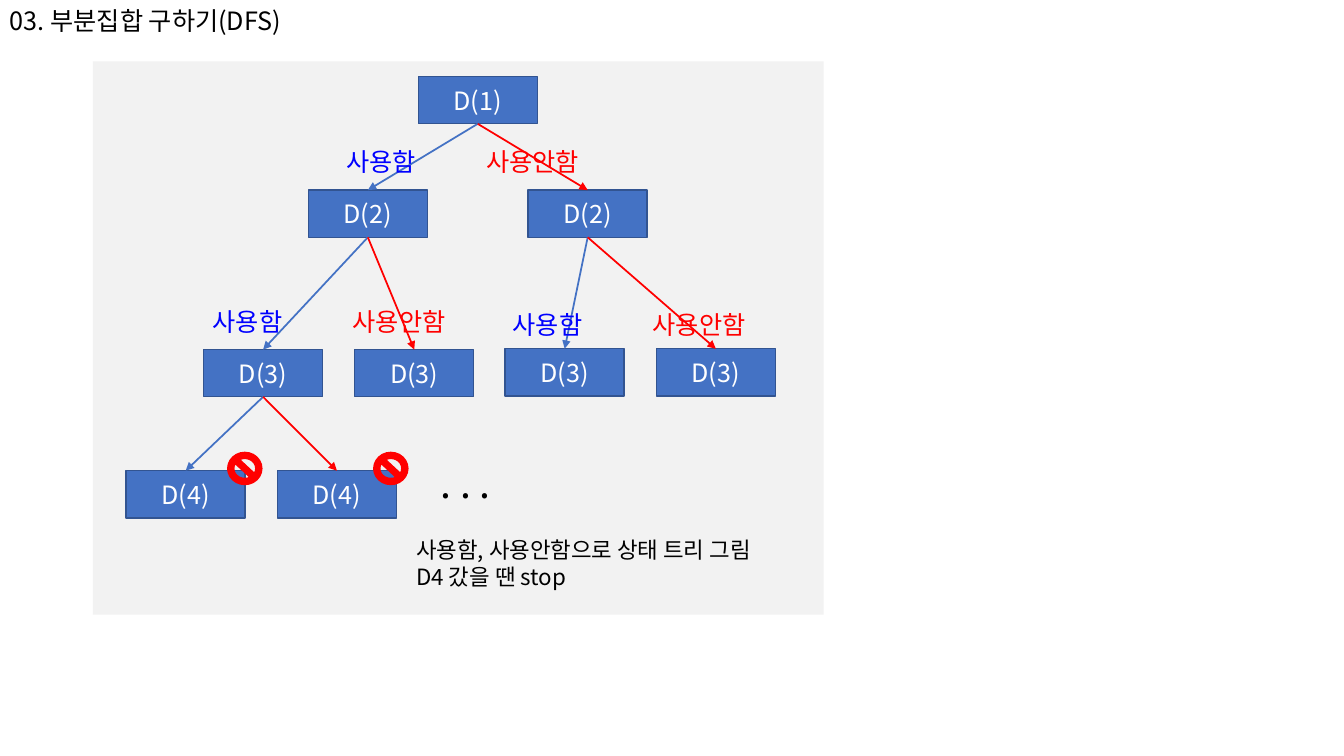
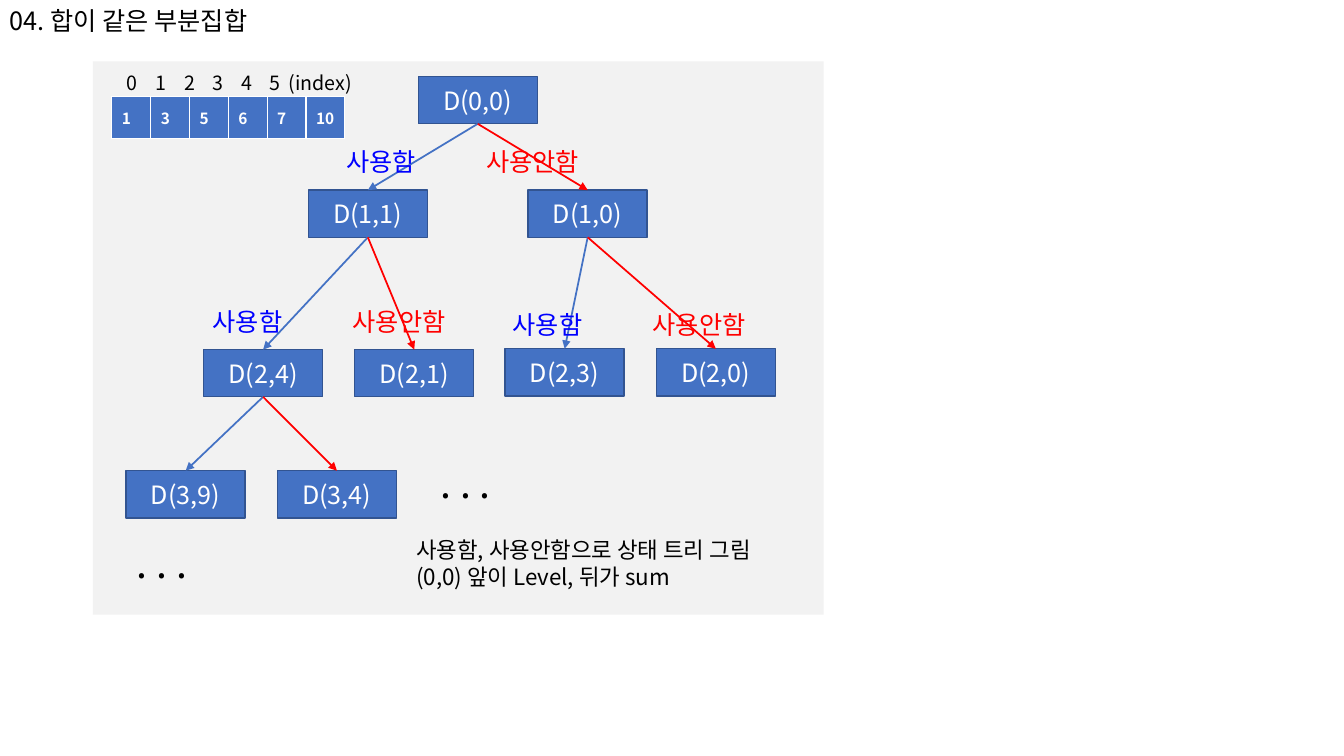
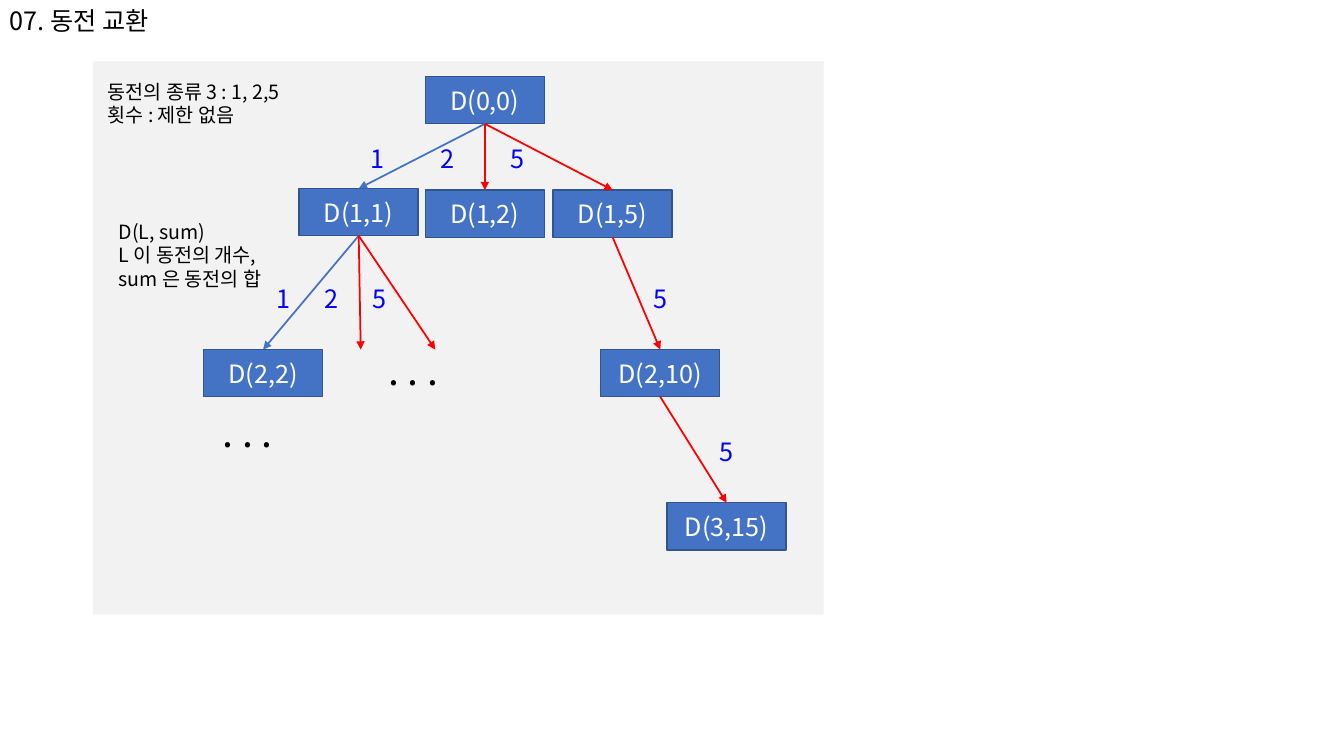
from dataclasses import dataclass

from lxml.etree import SubElement
from pptx import Presentation
from pptx.dml.color import RGBColor
from pptx.enum.shapes import MSO_CONNECTOR as Connector, MSO_SHAPE as Preset
from pptx.enum.text import MSO_ANCHOR as Anchor, PP_ALIGN as Align
from pptx.oxml.ns import qn
from pptx.util import Cm, Pt


@dataclass(frozen=True)
class Theme:
    """Colours, font and type sizes shared by all slides."""
    font: str = "Noto Sans CJK KR"
    ink: str = "000000"
    white: str = "FFFFFF"
    panel: str = "F2F2F2"
    node: str = "4472C4"
    node_edge: str = "325491"
    used: str = "0000FF"
    unused: str = "FF0000"
    body: int = 18
    note: int = 16
    small: int = 14
    cell: int = 11
    dots: int = 28


THEME = Theme()
NODE_W, NODE_H = 3.0, 1.19
BOTTOM_SITE, TOP_SITE = 2, 0


def write(frame, text, size=THEME.body, color=THEME.ink, bold=False,
          align=Align.LEFT, anchor=Anchor.TOP):
    """Fill a text frame, one paragraph for each line of text."""
    frame.word_wrap = True
    frame.vertical_anchor = anchor
    for index, line in enumerate(text.split("\n")):
        paragraph = frame.paragraphs[0] if index == 0 else frame.add_paragraph()
        paragraph.alignment = align
        run = paragraph.add_run()
        run.text = line
        font = run.font
        font.size, font.bold, font.name = Pt(size), bold, THEME.font
        font.color.rgb = RGBColor.from_string(color)
        SubElement(run._r.get_or_add_rPr(), qn("a:ea"), typeface=THEME.font)


class Deck:
    """Draws the elements of the state-tree slides on the current slide."""

    def __init__(self):
        """Start an empty widescreen presentation."""
        self.file = Presentation()
        self.file.slide_width, self.file.slide_height = Cm(33.87), Cm(19.05)
        self.slide = None

    def start(self, title):
        """Add a slide with its title and grey panel."""
        self.slide = self.file.slides.add_slide(self.file.slide_layouts[6])
        self.shape(Preset.RECTANGLE, 2.34, 1.55, 18.42, 13.94, THEME.panel)
        self.label(title, 0, 0, 7.82)

    def shape(self, preset, left, top, width, height, fill, edge=None):
        """Add a flat preset shape, outlined if an edge colour is given."""
        shape = self.slide.shapes.add_shape(
            preset, Cm(left), Cm(top), Cm(width), Cm(height))
        shape.shadow.inherit = False
        shape.fill.solid()
        shape.fill.fore_color.rgb = RGBColor.from_string(fill)
        if edge:
            shape.line.color.rgb = RGBColor.from_string(edge)
            shape.line.width = Pt(1)
        else:
            shape.line.fill.background()
        return shape

    def node(self, state, left, top):
        """Add one state of the tree."""
        node = self.shape(Preset.RECTANGLE, left, top, NODE_W, NODE_H,
                          THEME.node, THEME.node_edge)
        write(node.text_frame, state, color=THEME.white,
              align=Align.CENTER, anchor=Anchor.MIDDLE)
        return node

    def link(self, parent, child=None, color=THEME.unused, end=(0, 0)):
        """Draw an arrow from a parent to a child, or to a free end."""
        arrow = self.slide.shapes.add_connector(
            Connector.STRAIGHT, 0, 0, Cm(end[0]), Cm(end[1]))
        arrow.begin_connect(parent, BOTTOM_SITE)
        if child is not None:
            arrow.end_connect(child, TOP_SITE)
        arrow.line.color.rgb = RGBColor.from_string(color)
        arrow.line.width = Pt(1.25)
        SubElement(arrow.line._get_or_add_ln(), qn("a:tailEnd"), type="triangle")
        SubElement(arrow._element.spPr, qn("a:effectLst"))

    def label(self, text, left, top, width, height=1.02, **style):
        """Add a text box."""
        box = self.slide.shapes.add_textbox(
            Cm(left), Cm(top), Cm(width), Cm(height))
        write(box.text_frame, text, **style)

    def label_row(self, texts, left, top, step, **style):
        """Add short labels at equal steps."""
        for index, text in enumerate(texts):
            self.label(text, left + index * step, top, 0.86, **style)

    def dots(self, left, top):
        """Mark a place where the tree goes on."""
        self.label(". . .", left, top, 2.24, 1.45, size=THEME.dots)

    def stop(self, left, top):
        """Add a red stop sign."""
        self.shape(Preset.NO_SYMBOL, left, top, 0.86, 0.81,
                   THEME.unused, THEME.unused)

    def array(self, values, left, top, width, height):
        """Add a one-row table of numbers."""
        table = self.slide.shapes.add_table(
            1, len(values), Cm(left), Cm(top), Cm(width), Cm(height)).table
        for cell, value in zip(table.rows[0].cells, values):
            cell.fill.solid()
            cell.fill.fore_color.rgb = RGBColor.from_string(THEME.node)
            write(cell.text_frame, str(value), size=THEME.cell,
                  color=THEME.white, bold=True)
            cell.vertical_anchor = Anchor.MIDDLE

    def choice_tree(self, states, note):
        """Draw the used / unused tree; states run level by level."""
        places = [(10.54, 1.93), (7.77, 4.79), (13.31, 4.79),
                  (5.13, 8.81), (8.94, 8.81), (12.73, 8.79), (16.54, 8.79),
                  (3.18, 11.86), (6.99, 11.86)]
        nodes = [self.node(state, *place) for state, place in zip(states, places)]
        for index, child in enumerate(nodes[1:]):
            color = THEME.unused if index % 2 else THEME.node
            self.link(nodes[index // 2], child, color)
        for left, top in [(8.48, 3.56), (5.11, 7.59), (12.67, 7.67)]:
            self.label("사용함", left, top, 3, color=THEME.used)
            self.label("사용안함", left + 3.53, top, 3, color=THEME.unused)
        self.label("사용함, 사용안함으로 상태 트리 그림\n" + note,
                   10.24, 13.39, 9.98, 1.63, size=THEME.note)
        self.dots(10.85, 11.46)


def subsets(deck):
    """Build the slide on listing subsets."""
    deck.start("03. 부분집합 구하기(DFS)")
    levels = [1, 2, 2, 3, 3, 3, 3, 4, 4]
    deck.choice_tree([f"D({level})" for level in levels], "D4 갔을 땐 stop")
    for left in (5.74, 9.42):
        deck.stop(left, 11.4)


def equal_sums(deck):
    """Build the slide on subsets with equal sums."""
    deck.start("04. 합이 같은 부분집합")
    states = ["D(0,0)", "D(1,1)", "D(1,0)", "D(2,4)", "D(2,1)", "D(2,3)",
              "D(2,0)", "D(3,9)", "D(3,4)"]
    deck.choice_tree(states, "(0,0) 앞이 Level, 뒤가 sum")
    deck.dots(3.2, 13.46)
    deck.array([1, 3, 5, 6, 7, 10], 2.82, 2.44, 5.87, 1.04)
    deck.label_row("012345", 2.95, 1.65, 0.72, size=THEME.small)
    deck.label("(index)", 7.03, 1.65, 2.4, 0.86, size=THEME.small)


def coin_change(deck):
    """Build the slide on coin change."""
    deck.start("07. 동전 교환")
    root = deck.node("D(0,0)", 10.72, 1.93)
    one = deck.node("D(1,1)", 7.54, 4.75)
    two = deck.node("D(1,2)", 10.72, 4.79)
    five = deck.node("D(1,5)", 13.94, 4.79)
    one_one = deck.node("D(2,2)", 5.13, 8.81)
    five_five = deck.node("D(2,10)", 15.14, 8.81)
    three_fives = deck.node("D(3,15)", 16.81, 12.67)
    for parent, child in [(root, one), (one, one_one)]:
        deck.link(parent, child, THEME.node)
    for parent, child in [(root, two), (root, five), (five, five_five),
                          (five_five, three_fives)]:
        deck.link(parent, child)
    for end in [(9.09, 8.81), (10.97, 8.81)]:
        deck.link(one, end=end)
    for coins, left, top, step in [("125", 9.09, 3.48, 1.76),
                                   ("125", 6.73, 7.01, 1.21),
                                   ("5", 16.21, 7.01, 0),
                                   ("5", 17.88, 10.87, 0)]:
        deck.label_row(coins, left, top, step, color=THEME.used)
    deck.label("동전의 종류 3 : 1, 2,5\n횟수 : 제한 없음",
               2.46, 1.88, 5.31, 1.45, size=THEME.small)
    deck.label("D(L, sum)\nL 이 동전의 개수,\nsum 은 동전의 합",
               2.74, 5.41, 4.55, 2.06, size=THEME.small)
    deck.dots(9.53, 8.59)
    deck.dots(5.36, 10.16)


def main():
    """Build the three slides and save them."""
    deck = Deck()
    for build in (subsets, equal_sums, coin_change):
        build(deck)
    deck.file.save("out.pptx")


main()
